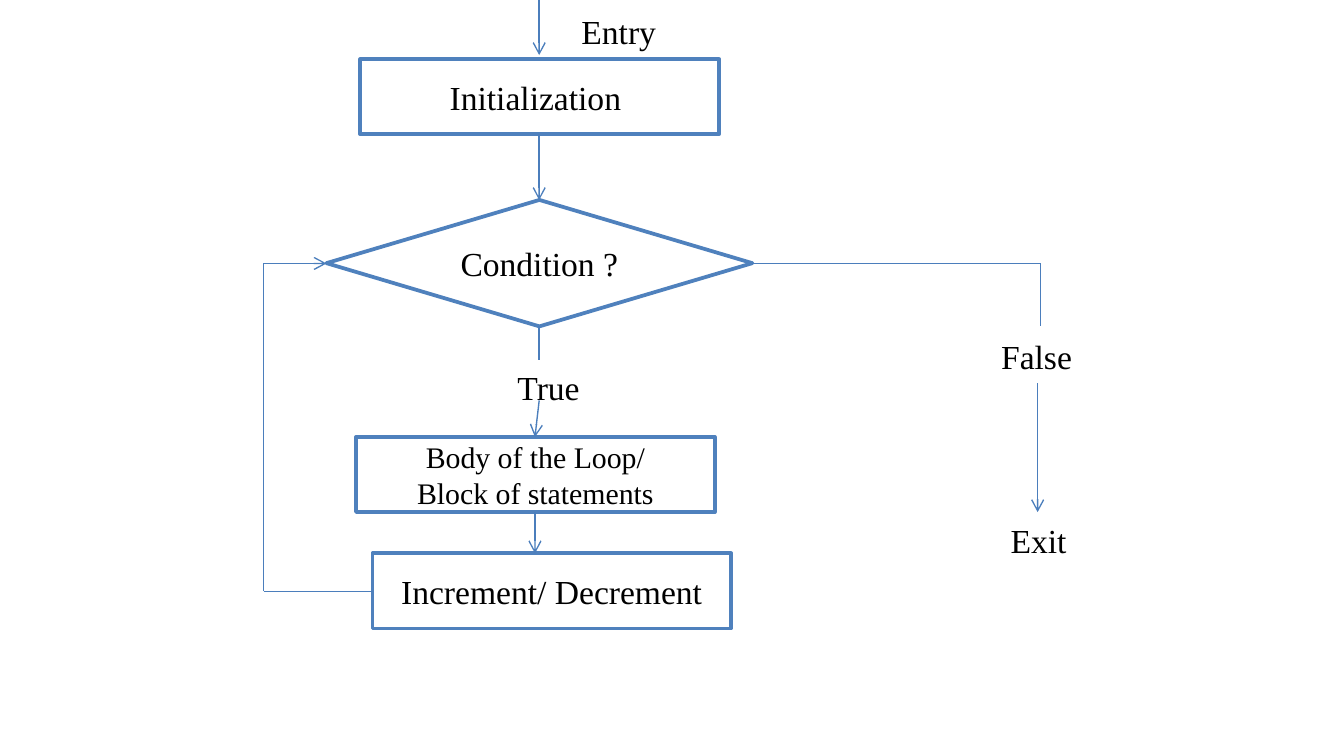
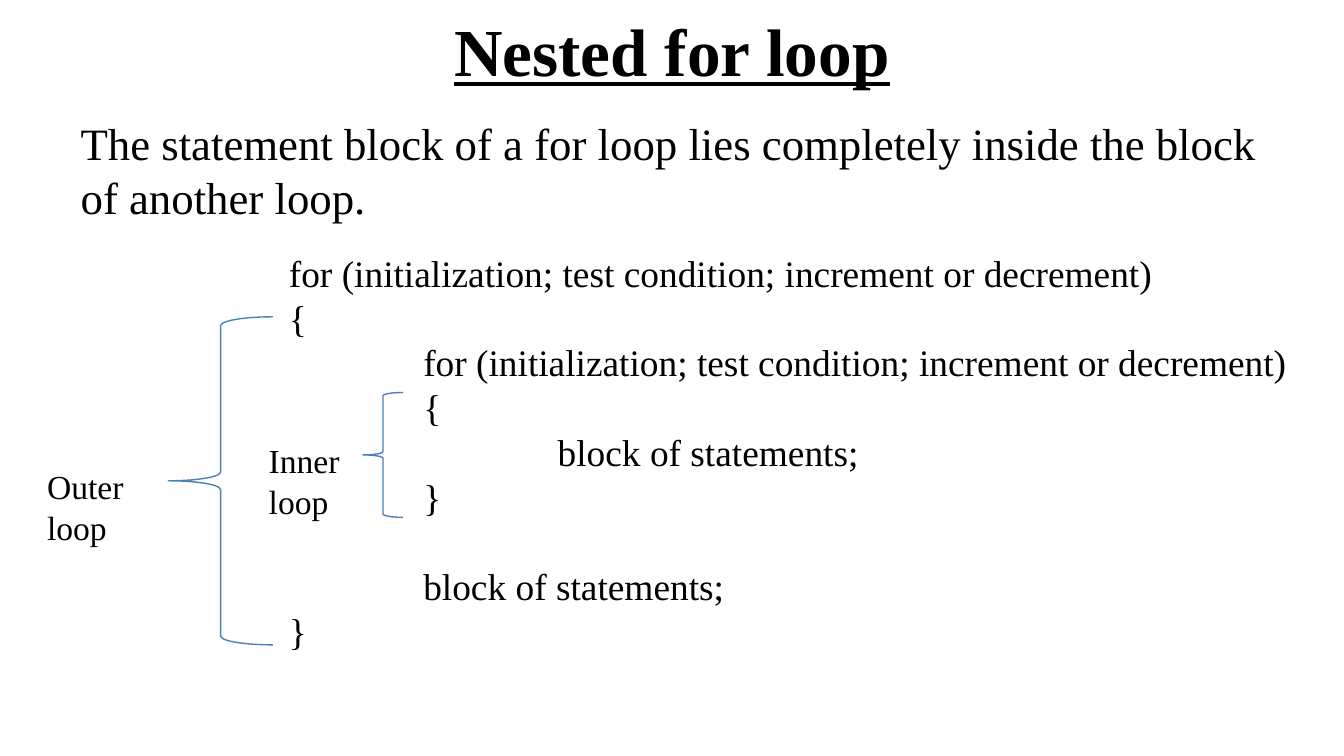
from lxml import etree
from pptx import Presentation
from pptx import util as u
from pptx.dml.color import RGBColor
from pptx.enum import shapes, text
from pptx.oxml.ns import qn

FONT = "Times New Roman"
INK, PAPER, BORDER, LINE = "000000", "FFFFFF", "4F81BD", "4B7EBC"
LINE_WIDTH = 0.75


def rgb(value):
    """Return a colour from a hex string."""
    return RGBColor.from_string(value)


def cm(*values):
    """Return lengths from numbers of centimetres."""
    return [u.Cm(v) for v in values]


def style_text(tf, lines, size, align=None):
    """Write lines as paragraphs in the shared font."""
    tf.text = "\n".join(lines)
    for p in tf.paragraphs:
        p.font.name, p.font.size = FONT, u.Pt(size)
        p.font.color.rgb = rgb(INK)
        p.alignment = align


def indent(p, left):
    """Set a paragraph's left margin in centimetres, with no hanging indent."""
    pPr = p._p.get_or_add_pPr()
    pPr.set("marL", str(u.Cm(left)))
    pPr.set("indent", "0")


def add_label(s, box, lines, size=18, wrap=False, fill=None):
    """Add a plain text box."""
    sp = s.shapes.add_textbox(*cm(*box))
    sp.text_frame.word_wrap = wrap
    if fill:
        sp.fill.solid()
        sp.fill.fore_color.rgb = rgb(fill)
    style_text(sp.text_frame, lines, size)
    return sp


def add_node(s, kind, box, lines, size=18):
    """Add an outlined flowchart step with centred text."""
    sp = s.shapes.add_shape(kind, *cm(*box))
    sp.shadow.inherit = False
    sp.fill.solid()
    sp.fill.fore_color.rgb = rgb(PAPER)
    sp.line.color.rgb, sp.line.width = rgb(BORDER), u.Pt(2)
    sp.text_frame.vertical_anchor = text.MSO_ANCHOR.MIDDLE
    style_text(sp.text_frame, lines, size, text.PP_ALIGN.CENTER)


def add_line(s, start, end, arrow=False):
    """Add a straight connector, with an open arrowhead on request."""
    c = s.shapes.add_connector(shapes.MSO_CONNECTOR.STRAIGHT, *cm(*start, *end))
    c.line.color.rgb, c.line.width = rgb(LINE), u.Pt(LINE_WIDTH)
    if arrow:
        etree.SubElement(c.line._get_or_add_ln(), qn("a:tailEnd"), type="arrow")
    etree.SubElement(c._element.spPr, qn("a:effectLst"))


def add_brace(s, box):
    """Add a left brace."""
    sp = s.shapes.add_shape(shapes.MSO_SHAPE.LEFT_BRACE, *cm(*box))
    sp.shadow.inherit = False
    sp.fill.background()
    sp.line.color.rgb, sp.line.width = rgb(LINE), u.Pt(LINE_WIDTH)


def flowchart(s, x, y):
    """Draw the loop flowchart with its top left corner at x, y."""
    step_w, step_h = 6.78, 1.42
    axis, test_y, step_axis, back_y, exit_x = 5.21, 4.98, 5.13, 11.18, 14.68
    rect = shapes.MSO_SHAPE.RECTANGLE
    steps = [
        (1.83, 1.12, ["Initialization "], 18),
        (1.75, 8.26, ["Body of the Loop/", "Block of statements"], 16),
        (2.06, 10.46, ["Increment/ Decrement"], 18),
    ]
    for dx, dy, lines, size in steps:
        add_node(s, rect, (x + dx, y + dy, step_w, step_h), lines, size)
    add_node(s, shapes.MSO_SHAPE.FLOWCHART_DECISION,
             (x + 1.19, y + 3.78, 8.05, 2.39), ["Condition ?"])
    labels = [
        ("Entry", 5.76, 0.08, 1.93, None),
        ("True", 4.55, 6.81, 1.7, None),
        ("False", 13.69, 6.22, 1.85, PAPER),
        ("Exit", 13.87, 9.7, 1.57, PAPER),
    ]
    for words, dx, dy, w, fill in labels:
        add_label(s, (x + dx, y + dy, w, 1.02), [words], fill=fill)
    links = [
        (axis, -0.13, axis, 1.04, True),
        (axis, 2.54, axis, 3.78, True),
        (axis, 6.17, axis, 6.81, False),
        (axis, 7.57, step_axis, 8.26, True),
        (step_axis, 9.68, step_axis, 10.46, True),
        (2.06, back_y, 0, back_y, False),
        (0, back_y, 0, test_y, False),
        (0, test_y, 1.19, test_y, True),
        (9.24, test_y, exit_x, test_y, False),
        (exit_x, test_y, exit_x, 6.17, False),
        (14.63, 7.24, 14.63, 9.68, True),
    ]
    for x1, y1, x2, y2, arrow in links:
        add_line(s, (x + x1, y + y1), (x + x2, y + y2), arrow)


def place(sp, box):
    """Move a placeholder to a box and fix its text size."""
    sp.left, sp.top, sp.width, sp.height = cm(*box)
    sp.text_frame.auto_size = text.MSO_AUTO_SIZE.NONE


def heading(s, title, statement, x, y, w):
    """Fill the title and body placeholders from x, y down."""
    head, body = s.placeholders
    place(head, (x, y, w, 2.39))
    style_text(head.text_frame, [title], 36, text.PP_ALIGN.CENTER)
    head.text_frame.vertical_anchor = text.MSO_ANCHOR.MIDDLE
    font = head.text_frame.paragraphs[0].font
    font.bold = font.underline = True
    place(body, (x, y + 2.31, w, 9.42))
    style_text(body.text_frame, [statement], 24)
    p = body.text_frame.paragraphs[0]
    indent(p, 0)
    etree.SubElement(p._p.pPr, qn("a:buNone"))
    p._p.pPr.insert(0, p._p.pPr[-1])


def nested_code(s, x, y):
    """Draw the nested loop code with braces and labels from x, y."""
    header = "for (initialization; test condition; increment or decrement)"
    block = "block of statements;"
    code = [(1, header), (1, "{"), (2, header), (2, "{"), (3, block),
            (2, "}"), (2, block), (1, "}")]
    sp = add_label(s, (x + 2.03, y, 22.53, 7.95), [c for _, c in code], 20, True)
    paragraphs = sp.text_frame.paragraphs
    for p, (level, _) in zip(paragraphs, code):
        indent(p, level * 2.54)
    paragraphs[6].space_before = u.Pt(24)
    add_brace(s, (x + 6.22, y + 2.82, 0.76, 2.36))
    add_brace(s, (x + 2.54, y + 1.39, 1.98, 6.2))
    add_label(s, (x, y + 4.09, 2.41, 1.8), ["Outer loop"], wrap=True)
    add_label(s, (x + 4.19, y + 3.6, 2.03, 1.8), ["Inner loop"], wrap=True)


def main():
    """Build both slides and save them."""
    prs = Presentation()
    prs.slide_width, prs.slide_height = cm(25.4, 14.29)
    flowchart(prs.slides.add_slide(prs.slide_layouts[6]), 4.98, 0)
    s = prs.slides.add_slide(prs.slide_layouts[1])
    heading(s, "Nested for loop",
            "The statement block of a for loop lies completely inside "
            "the block of another loop.", 1.27, -0.25, 22.86)
    nested_code(s, 0.64, 4.6)
    prs.save("out.pptx")


main()
